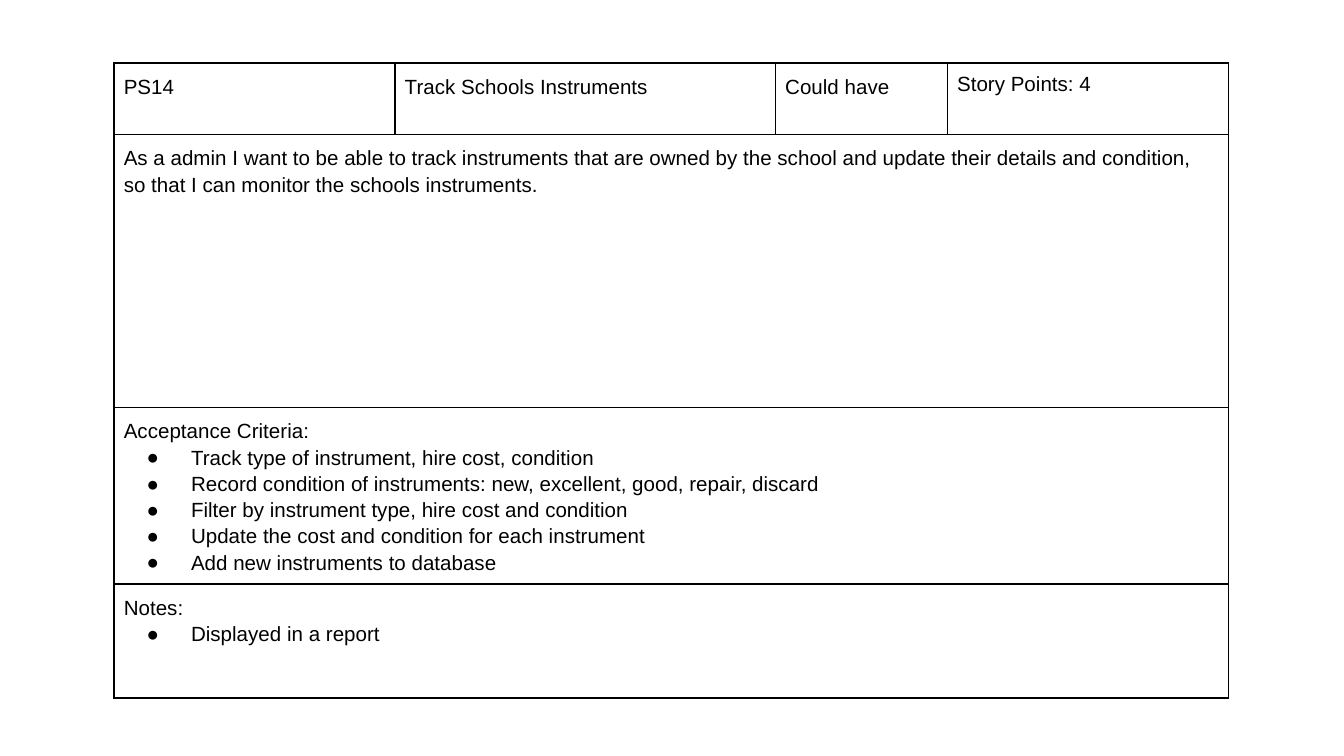
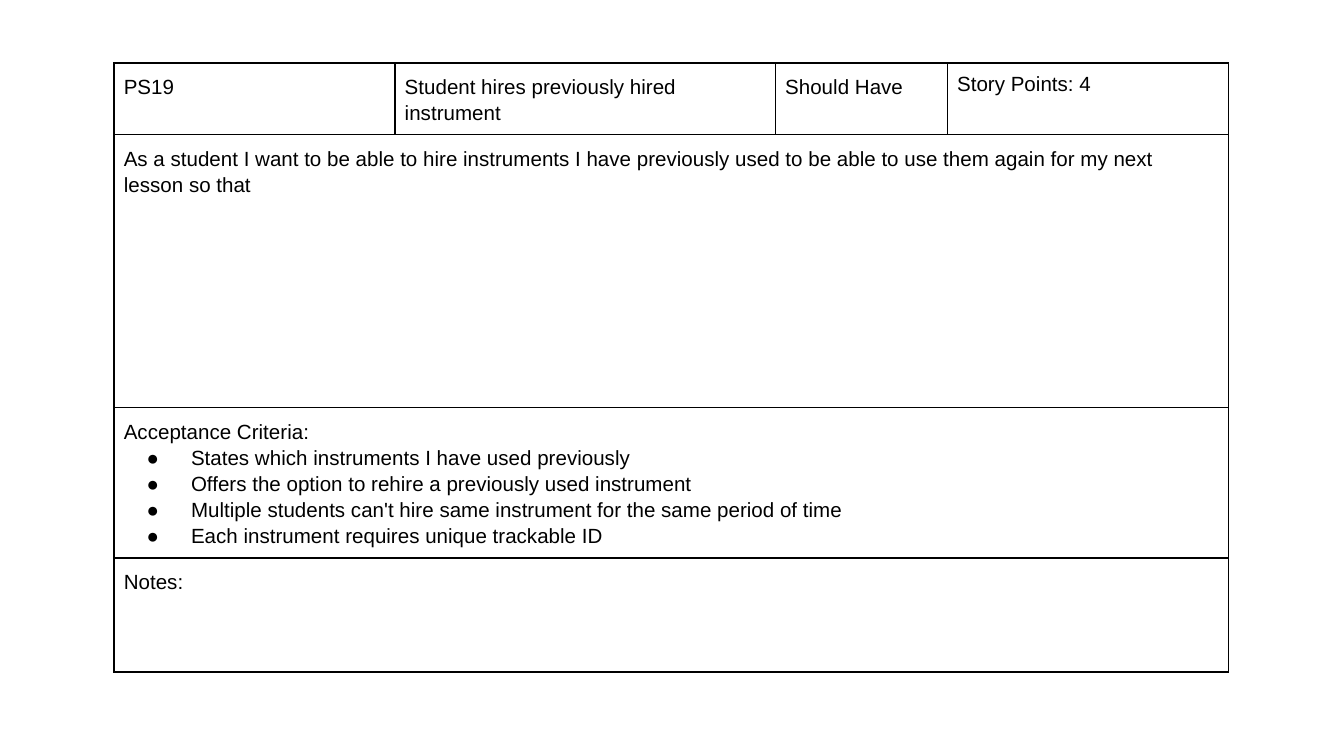
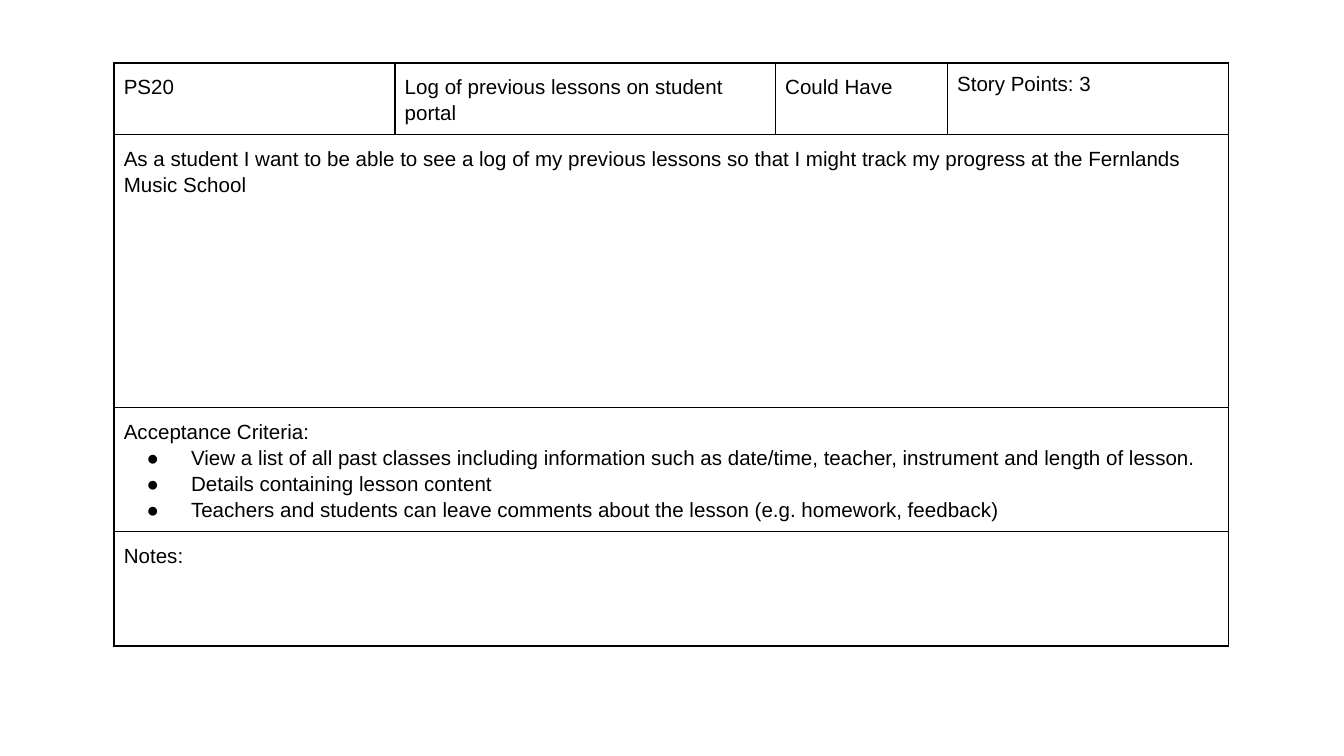
"""Build three user story cards, each a bordered table on its own slide."""

from dataclasses import dataclass

from lxml.etree import SubElement
from pptx import Presentation
from pptx.dml.color import RGBColor
from pptx.oxml import parse_xml
from pptx.oxml.ns import nsdecls, qn
from pptx.util import Cm, Pt

COLORS = {"text": "000000", "border": "000000"}
FONT_NAME = "Arial"
FONT_SIZE = Pt(11)
LINE_SPACING = 1.15
CELL_MARGIN = Cm(0.18)
COLUMN_WIDTHS = [Cm(5.31), Cm(7.19), Cm(3.25), Cm(5.31)]
ROW_HEIGHTS = [Cm(1.35), Cm(5.16), Cm(2.16), Cm(2.16)]
TABLE_LEFT, TABLE_TOP = Cm(2.16), Cm(1.19)


@dataclass
class Story:
    code: str
    title: str
    priority: str
    points: int
    description: str
    criteria: list
    notes: list


STORIES = [
    Story(
        "PS14", "Track Schools Instruments", "Could have", 4,
        "As a admin I want to be able to track instruments that are owned by the school "
        "and update their details and condition, so that I can monitor the schools instruments.",
        [
            "Track type of instrument, hire cost, condition",
            "Record condition of instruments: new, excellent, good, repair, discard",
            "Filter by instrument type, hire cost and condition",
            "Update the cost and condition for each instrument",
            "Add new instruments to database",
        ],
        ["Displayed in a report"],
    ),
    Story(
        "PS19", "Student hires previously hired instrument", "Should Have", 4,
        "As a student I want to be able to hire instruments I have previously used "
        "to be able to use them again for my next lesson so that",
        [
            "States which instruments I have used previously",
            "Offers the option to rehire a previously used instrument",
            "Multiple students can't hire same instrument for the same period of time",
            "Each instrument requires unique trackable ID",
        ],
        [],
    ),
    Story(
        "PS20", "Log of previous lessons on student portal", "Could Have", 3,
        "As a student I want to be able to see a log of my previous lessons "
        "so that I might track my progress at the Fernlands Music School",
        [
            "View a list of all past classes including information such as date/time, "
            "teacher, instrument and length of lesson.",
            "Details containing lesson content",
            "Teachers and students can leave comments about the lesson (e.g. homework, feedback)",
        ],
        [],
    ),
]


def add_bullet(paragraph):
    """Give the paragraph a hanging round bullet."""
    properties = paragraph._p.get_or_add_pPr()
    properties.set("marL", str(Cm(1.27)))
    properties.set("indent", str(-Cm(0.84)))
    bullet_color = SubElement(properties, qn("a:buClr"))
    SubElement(bullet_color, qn("a:srgbClr"), val=COLORS["text"])
    SubElement(properties, qn("a:buFont"), typeface=FONT_NAME)
    SubElement(properties, qn("a:buChar"), char="●")


def write_cell(cell, text, bullets=(), line_spacing=LINE_SPACING):
    """Write a line of text and an optional bullet list into the cell."""
    frame = cell.text_frame
    for index, line in enumerate([text, *bullets]):
        paragraph = frame.add_paragraph() if index else frame.paragraphs[0]
        paragraph.text = line
        paragraph.line_spacing = line_spacing
        if index:
            add_bullet(paragraph)
        paragraph.font.name = FONT_NAME
        paragraph.font.size = FONT_SIZE
        paragraph.font.color.rgb = RGBColor.from_string(COLORS["text"])


def style_cell(cell):
    """Set equal margins, no fill and a thin border on every side."""
    cell.margin_left = cell.margin_right = CELL_MARGIN
    cell.margin_top = cell.margin_bottom = CELL_MARGIN
    cell.fill.background()
    properties = cell._tc.get_or_add_tcPr()
    for position, side in enumerate(["lnL", "lnR", "lnT", "lnB"]):
        border = parse_xml(
            f'<a:{side} {nsdecls("a")} w="{Pt(1)}"><a:solidFill>'
            f'<a:srgbClr val="{COLORS["border"]}"/></a:solidFill></a:{side}>'
        )
        properties.insert(position, border)


def add_card_table(slide):
    """Add the empty card: four header cells above three full-width rows."""
    table = slide.shapes.add_table(
        len(ROW_HEIGHTS), len(COLUMN_WIDTHS), TABLE_LEFT, TABLE_TOP,
        sum(COLUMN_WIDTHS), sum(ROW_HEIGHTS),
    ).table
    table.first_row = table.horz_banding = False
    for column, width in zip(table.columns, COLUMN_WIDTHS):
        column.width = width
    for row, height in zip(table.rows, ROW_HEIGHTS):
        row.height = height
    for cell in table.iter_cells():
        style_cell(cell)
    for row_index in range(1, len(ROW_HEIGHTS)):
        table.cell(row_index, 0).merge(table.cell(row_index, len(COLUMN_WIDTHS) - 1))
    return table


def add_story_slide(presentation, story):
    """Add one slide holding the card of the story."""
    slide = presentation.slides.add_slide(presentation.slide_layouts[6])
    table = add_card_table(slide)
    for column_index, text in enumerate([story.code, story.title, story.priority]):
        write_cell(table.cell(0, column_index), text)
    write_cell(table.cell(0, 3), f"Story Points: {story.points}", line_spacing=1.0)
    write_cell(table.cell(1, 0), story.description)
    write_cell(table.cell(2, 0), "Acceptance Criteria:", story.criteria)
    write_cell(table.cell(3, 0), "Notes:", story.notes)


def main():
    """Build and save the presentation."""
    presentation = Presentation()
    presentation.slide_width = Cm(25.4)
    presentation.slide_height = Cm(14.29)
    for story in STORIES:
        add_story_slide(presentation, story)
    presentation.save("out.pptx")


main()
